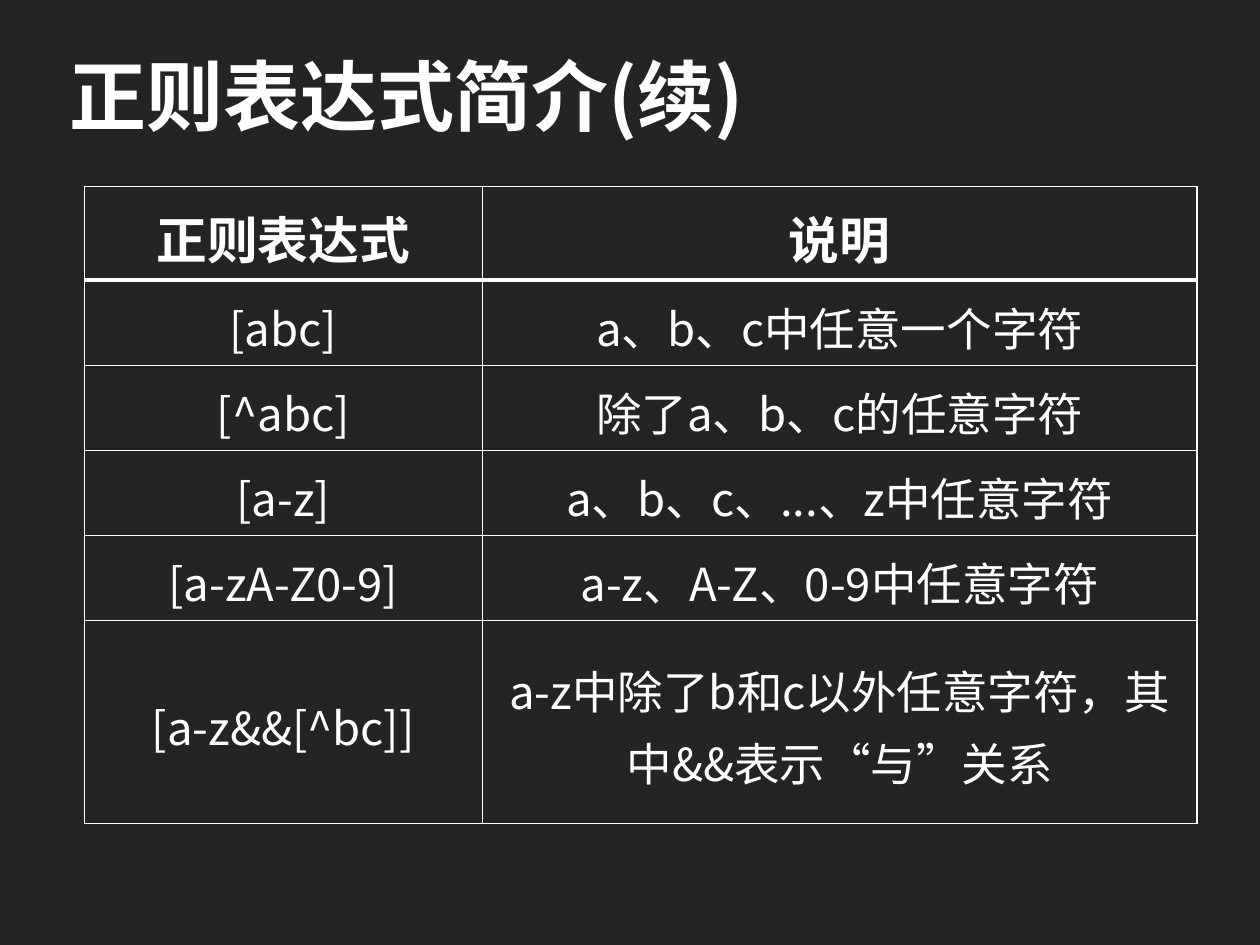
from lxml.etree import SubElement
from pptx import Presentation
from pptx.dml.color import RGBColor
from pptx.enum.text import MSO_ANCHOR, PP_ALIGN
from pptx.oxml.ns import qn
from pptx.util import Inches, Pt

COLORS = {"background": "242424", "ink": "FFFFFF"}
FONT = "Noto Sans CJK SC"
COLUMNS = (3.16, 5.67)
ROWS = (0.73, 0.67, 0.67, 0.67, 0.67, 1.61)
CONTENT = (
    ("正则表达式", "说明"),
    ("[abc]", "a、b、c中任意一个字符"),
    ("[^abc]", "除了a、b、c的任意字符"),
    ("[a-z]", "a、b、c、...、z中任意字符"),
    ("[a-zA-Z0-9]", "a-z、A-Z、0-9中任意字符"),
    ("[a-z&&[^bc]]", "a-z中除了b和c以外任意字符，其中&&表示“与”关系"),
)


def format_text(frame, size, bold, align):
    for para in frame.paragraphs:
        para.alignment = align
        for span in para.runs:
            span.font.name = FONT
            span.font.size = Pt(size)
            span.font.bold = bold
            span.font.color.rgb = RGBColor.from_string(COLORS["ink"])
            properties = span.font._element
            properties.set("lang", "zh-CN")
            SubElement(properties, qn("a:ea")).set("typeface", FONT)


def add_borders(cell, widths):
    """Draw the cell's sides; widths maps L, R, T and B to points."""
    properties = cell._tc.get_or_add_tcPr()
    for side, width in widths.items():
        line = SubElement(properties, qn(f"a:ln{side}"), w=str(Pt(width)))
        fill = SubElement(line, qn("a:solidFill"))
        SubElement(fill, qn("a:srgbClr"), val=COLORS["ink"])


def place_title(page, left, top, width, height):
    title = page.shapes.title
    title.left, title.top = Inches(left), Inches(top)
    title.width, title.height = Inches(width), Inches(height)
    frame = title.text_frame
    frame.text = "正则表达式简介(续)"
    frame.vertical_anchor = MSO_ANCHOR.MIDDLE
    format_text(frame, 44, True, PP_ALIGN.LEFT)


def fill_cell(cell, text, row):
    header = row == 0
    cell.text = text
    cell.vertical_anchor = MSO_ANCHOR.MIDDLE
    cell.margin_left = cell.margin_right = Inches(0.09)
    cell.margin_top = cell.margin_bottom = Inches(0.05)
    cell.text_frame.paragraphs[0].line_spacing = 1.1
    format_text(cell.text_frame, 29 if header else 26, header, PP_ALIGN.CENTER)
    add_borders(cell, {"L": 1, "R": 1, "T": 3 if row == 1 else 1, "B": 3 if header else 1})
    cell.fill.background()


def place_table(page, left, top):
    table = page.shapes.add_table(
        len(ROWS), len(COLUMNS), Inches(left), Inches(top),
        Inches(sum(COLUMNS)), Inches(sum(ROWS)),
    ).table
    table.horz_banding = False
    for column, width in zip(table.columns, COLUMNS):
        column.width = Inches(width)
    for row, height in enumerate(ROWS):
        table.rows[row].height = Inches(height)
        for column, text in enumerate(CONTENT[row]):
            fill_cell(table.cell(row, column), text, row)


def main():
    deck = Presentation()
    deck.slide_width, deck.slide_height = Inches(10), Inches(7.5)
    page = deck.slides.add_slide(deck.slide_layouts[5])
    page.background.fill.solid()
    page.background.fill.fore_color.rgb = RGBColor.from_string(COLORS["background"])
    place_title(page, 0.45, 0.23, 9.09, 1.04)
    place_table(page, 0.67, 1.48)
    deck.save("out.pptx")


if __name__ == "__main__":
    main()
